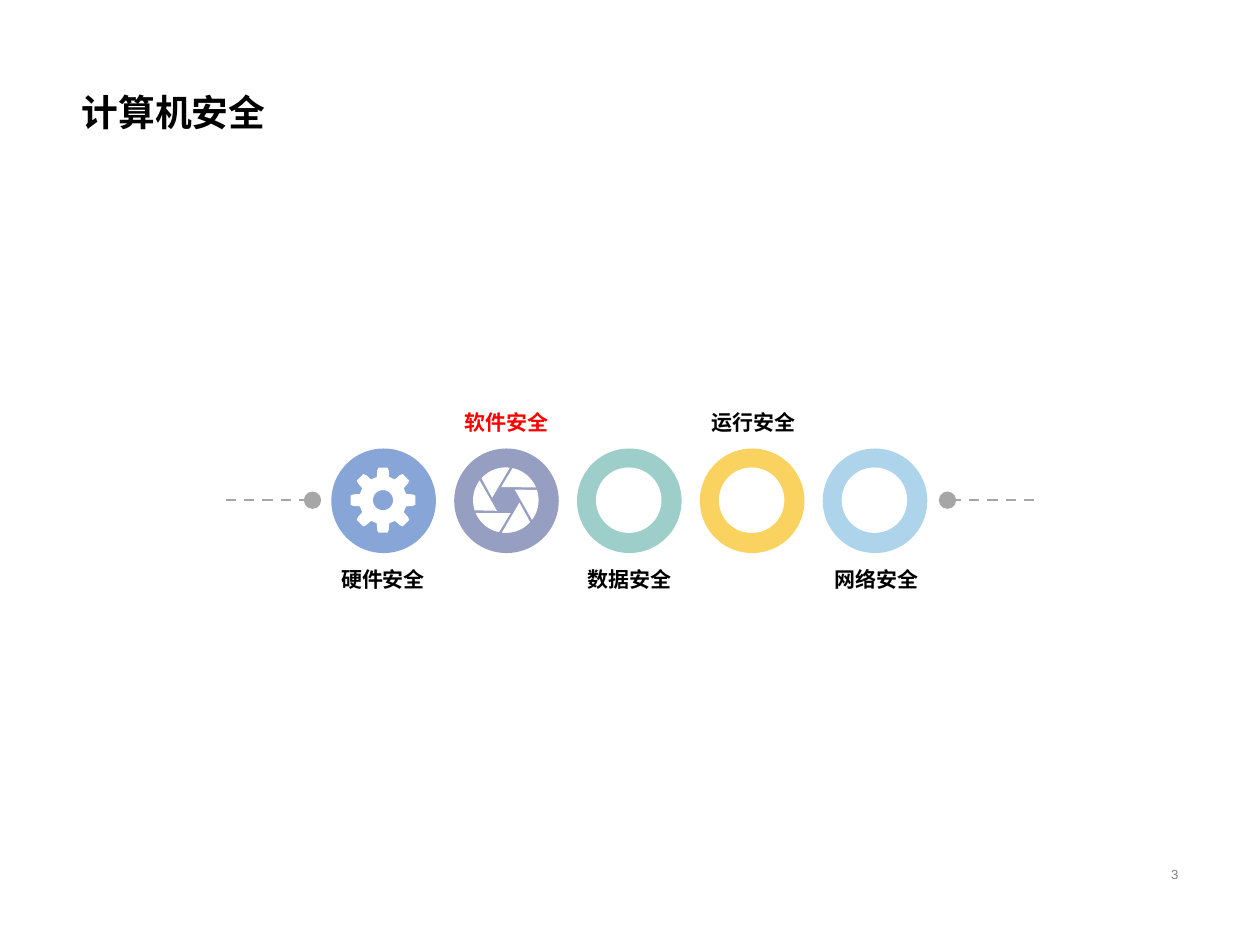
from dataclasses import dataclass
from math import cos, radians, sin
from typing import Optional

from lxml.etree import SubElement
from pptx import Presentation
from pptx.dml.color import RGBColor
from pptx.enum.dml import MSO_LINE_DASH_STYLE as Dash
from pptx.enum.shapes import MSO_CONNECTOR as Connector, MSO_SHAPE as Shape
from pptx.enum.text import MSO_ANCHOR as Anchor, PP_ALIGN as Align
from pptx.oxml.ns import qn
from pptx.util import Inches, Pt

COLOURS = {
    "black": "000000", "red": "FF0000", "grey": "808080", "line": "A6A6A6",
    "white": "FFFFFF", "blue": "698FCE", "violet": "969EC2",
    "teal": "85C2BC", "yellow": "FAD25F", "sky": "99CAE6",
}
FONT = "Arial"
RING_SIZE, RING_LEFT, RING_TOP, RING_STEP = 0.83, 2.63, 3.56, 0.975
ICON_SIZE, ICON_INSET = 0.52, 0.15
LABEL_LEFT, LABEL_STEP, LABEL_WIDTH, LABEL_HEIGHT = 2.1, 0.98, 1.88, 0.34
LABEL_ABOVE, LABEL_BELOW = 3.21, 4.46
AXIS_Y = 3.97

Point = tuple[float, float]
Contour = list[Point]


@dataclass
class Topic:
    label: str
    colour: str
    opacity: int = 100
    label_colour: str = "black"
    icon: str = "disc"


@dataclass
class TextStyle:
    size: float
    colour: str = "black"
    bold: bool = False
    align: Align = Align.LEFT
    anchor: Anchor = Anchor.TOP
    wrap: bool = True
    spacing: Optional[float] = None
    inset: Point = (0.1, 0.05)


TOPICS = [
    Topic("硬件安全", "blue", 80, icon="gear"),
    Topic("软件安全", "violet", label_colour="red", icon="aperture"),
    Topic("数据安全", "teal", 80),
    Topic("运行安全", "yellow"),
    Topic("网络安全", "sky", 80),
]


def rgb(name: str) -> RGBColor:
    return RGBColor.from_string(COLOURS[name])


def polar(radius: float, degrees: float) -> Point:
    return radius * cos(radians(degrees)), radius * sin(radians(degrees))


def gear_contours() -> list[Contour]:
    tooth = [(0.19, -15), (0.24, -11), (0.26, -8), (0.26, 8), (0.24, 11), (0.19, 15)]
    outline = [polar(radius, 45 * index + angle)
               for index in range(8) for radius, angle in tooth]
    hole = [polar(0.08, angle) for angle in range(360, 0, -10)]
    return [outline, hole]


def aperture_contours() -> list[Contour]:
    return [
        [polar(0.26, turn + angle) for angle in range(-83, -139, -5)]
        + [polar(0.11, turn - 170)]
        for turn in range(0, 360, 60)
    ]


def paint(shape, colour: str, opacity: int = 100) -> None:
    shape.shadow.inherit = False
    shape.fill.solid()
    shape.fill.fore_color.rgb = rgb(colour)
    shape.line.fill.background()
    if opacity < 100:
        tint = shape.fill._xPr.find(f".//{qn('a:srgbClr')}")
        SubElement(tint, qn("a:alpha"), val=str(opacity * 1000))


def add_disc(page, left: float, top: float, size: float, colour: str,
             opacity: int = 100) -> None:
    disc = page.shapes.add_shape(Shape.OVAL, Inches(left), Inches(top),
                                 Inches(size), Inches(size))
    paint(disc, colour, opacity)


def add_outline(page, centre: Point, contours: list[Contour]) -> None:
    placed = [[(Inches(centre[0] + x), Inches(centre[1] + y)) for x, y in contour]
              for contour in contours]
    builder = page.shapes.build_freeform(*placed[0][0], scale=1.0)
    for index, contour in enumerate(placed):
        if index:
            builder.move_to(*contour[0])
        builder.add_line_segments(contour[1:], close=True)
    paint(builder.convert_to_shape(), "white")


def add_text(page, text: str, left: float, top: float, width: float,
             height: float, style: TextStyle) -> None:
    box = page.shapes.add_textbox(Inches(left), Inches(top),
                                  Inches(width), Inches(height))
    frame = box.text_frame
    frame.text = text
    frame.word_wrap = style.wrap
    frame.vertical_anchor = style.anchor
    frame.margin_left = frame.margin_right = Inches(style.inset[0])
    frame.margin_top = frame.margin_bottom = Inches(style.inset[1])
    para = frame.paragraphs[0]
    para.alignment = style.align
    if style.spacing:
        para.line_spacing = style.spacing
    font = para.runs[0].font
    font.name, font.size, font.bold = FONT, Pt(style.size), style.bold
    font.color.rgb = rgb(style.colour)


def add_dotted_end(page, start: float, end: float) -> None:
    line = page.shapes.add_connector(Connector.STRAIGHT, Inches(start), Inches(AXIS_Y),
                                     Inches(end), Inches(AXIS_Y))
    line.line.color.rgb = rgb("line")
    line.line.width = Pt(1.5)
    line.line.dash_style = Dash.DASH
    SubElement(line.line._get_or_add_ln(), qn("a:tailEnd"), type="oval", w="lg", len="lg")
    SubElement(line._element.spPr, qn("a:effectLst"))


def add_topic(page, index: int, topic: Topic) -> None:
    left = RING_LEFT + index * RING_STEP
    add_disc(page, left, RING_TOP, RING_SIZE, topic.colour, topic.opacity)
    icon_left, icon_top = left + ICON_INSET, RING_TOP + ICON_INSET
    centre = (icon_left + ICON_SIZE / 2, icon_top + ICON_SIZE / 2)
    if topic.icon == "gear":
        add_outline(page, centre, gear_contours())
    elif topic.icon == "aperture":
        add_outline(page, centre, aperture_contours())
    else:
        add_disc(page, icon_left, icon_top, ICON_SIZE, "white")
    style = TextStyle(12, topic.label_colour, True, Align.CENTER, wrap=False,
                      inset=(0.07, 0.04))
    add_text(page, topic.label, LABEL_LEFT + index * LABEL_STEP,
             LABEL_ABOVE if index % 2 else LABEL_BELOW,
             LABEL_WIDTH, LABEL_HEIGHT, style)


def main() -> None:
    deck = Presentation()
    deck.slide_width, deck.slide_height = Inches(10), Inches(7.5)
    page = deck.slides.add_slide(deck.slide_layouts[6])
    add_text(page, "计算机安全", 0.55, 0, 8.9, 1.12,
             TextStyle(21, bold=True, anchor=Anchor.BOTTOM, spacing=0.9))
    add_text(page, "3", 7.06, 6.82, 2.39, 0.23,
             TextStyle(7.5, "grey", align=Align.RIGHT, anchor=Anchor.MIDDLE))
    add_dotted_end(page, 1.79, 2.48)
    add_dotted_end(page, 8.21, 7.52)
    for index, topic in enumerate(TOPICS):
        add_topic(page, index, topic)
    deck.save("out.pptx")


if __name__ == "__main__":
    main()
